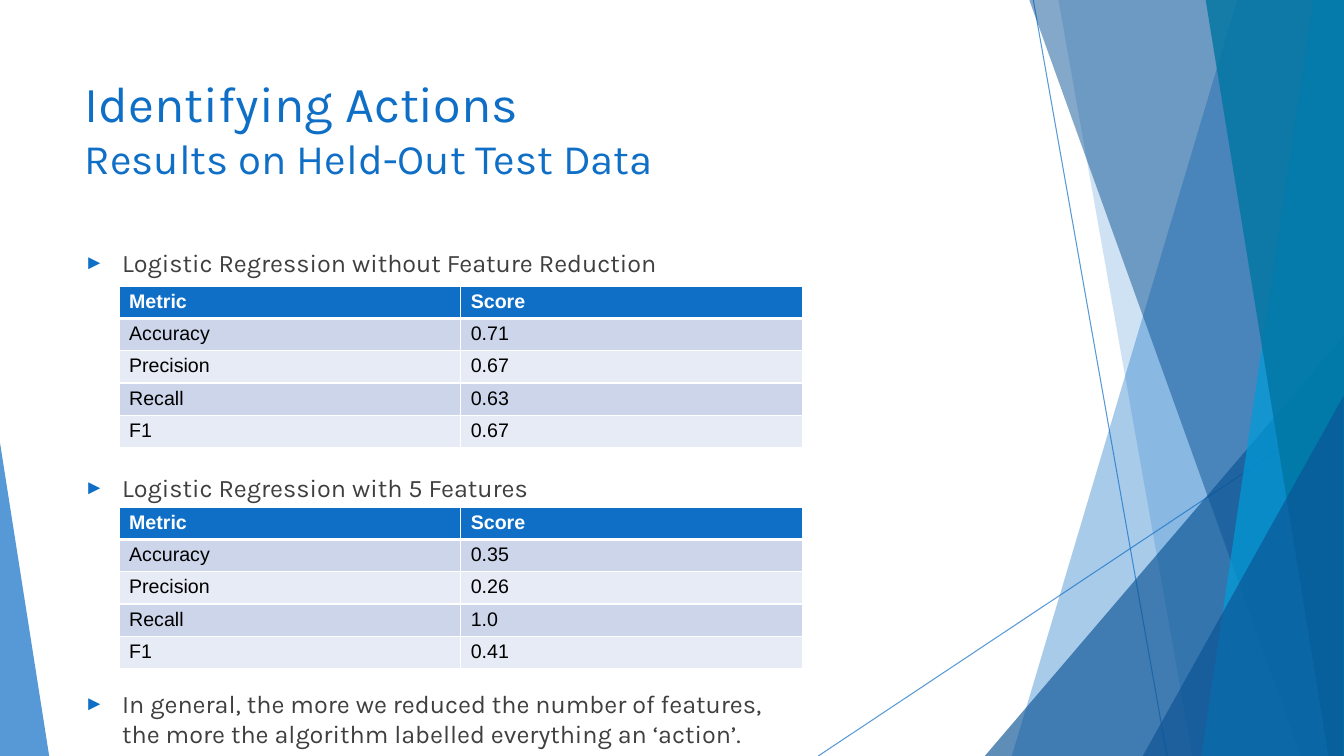
from lxml import etree
from pptx import Presentation
from pptx import util as u
from pptx.dml.color import RGBColor
from pptx.enum import shapes, text
from pptx.oxml.ns import qn

WIDTH, HEIGHT = 33.87, 19.05
BLUE, NAVY, SKY, TEAL = "0F6FC6", "0B5394", "009DD9", "0075A2"
WHITE, BLACK, GREY = "FFFFFF", "000000", "3F3F3F"
BANDS = ["CCD5EA", "E7EBF5"]
METRICS = ["Accuracy", "Precision", "Recall", "F1"]


def color(value):
    return RGBColor.from_string(value)


def add_xml(parent, tag, **attributes):
    return etree.SubElement(parent, qn(tag), attributes)


def set_attributes(target, values):
    for name, value in values.items():
        setattr(target, name, value)


def set_alpha(shape, percent):
    for clr in shape._element.spPr.iter(qn("a:srgbClr")):
        add_xml(clr, "a:alpha", val=str(percent * 1000))


def paint(shape, fill, alpha):
    shape.shadow.inherit = False
    shape.fill.solid()
    shape.fill.fore_color.rgb = color(fill)
    shape.line.fill.background()
    set_alpha(shape, alpha)


def add_line(slide, *ends):
    line = slide.shapes.add_connector(
        shapes.MSO_CONNECTOR.STRAIGHT, *[u.Cm(end) for end in ends])
    line.line.color.rgb = color(BLUE)
    line.line.width = u.Pt(0.75)
    set_alpha(line, 70)
    add_xml(line._element.spPr, "a:effectLst")


def add_panel(slide, top_x, bottom_x, fill, alpha):
    corners = [(top_x, -0.03), (WIDTH, -0.03), (WIDTH, HEIGHT), (bottom_x, HEIGHT)]
    points = [(u.Cm(x), u.Cm(y)) for x, y in corners]
    builder = slide.shapes.build_freeform(*points[0])
    builder.add_line_segments(points[1:], close=True)
    paint(builder.convert_to_shape(), fill, alpha)


def add_triangle(slide, left, width, height, apex, fill, alpha):
    triangle = slide.shapes.add_shape(
        shapes.MSO_SHAPE.ISOSCELES_TRIANGLE, u.Cm(left), u.Cm(HEIGHT - height),
        u.Cm(width), u.Cm(height))
    triangle.adjustments[0] = apex
    paint(triangle, fill, alpha)


def add_text_frame(slide, top, height):
    box = slide.shapes.add_textbox(u.Cm(1.88), u.Cm(top), u.Cm(23.88), u.Cm(height))
    box.text_frame.word_wrap = True
    box.text_frame.vertical_anchor = text.MSO_ANCHOR.TOP
    return box.text_frame


def write(paragraph, content, size, font_color, name="Karla", bold=False):
    paragraph.text = content
    for run in paragraph.runs:
        set_attributes(run.font, {"size": u.Pt(size), "name": name, "bold": bold})
        run.font.color.rgb = color(font_color)


def add_bullet(paragraph):
    properties = paragraph._p.get_or_add_pPr()
    properties.set("marL", str(u.Cm(0.95)))
    properties.set("indent", str(u.Cm(-0.95)))
    add_xml(add_xml(properties, "a:buClr"), "a:srgbClr", val=BLUE)
    add_xml(properties, "a:buSzPct", val="80000")
    add_xml(properties, "a:buFont", typeface="Arial")
    add_xml(properties, "a:buChar", char="►")


def add_title(slide):
    frame = add_text_frame(slide, 1.7, 3.66)
    write(frame.paragraphs[0], "Identifying Actions", 36, BLUE)
    write(frame.add_paragraph(), "Results on Held-Out Test Data", 30, BLUE)


def add_findings(slide):
    frame = add_text_frame(slide, 6.1, 10.69)
    findings = [
        ("Logistic Regression without Feature Reduction", 0),
        ("Logistic Regression with 5 Features", 139.5),
        ("In general, the more we reduced the number of features, \v"
         "the more the algorithm labelled everything an ‘action’.", 132.5),
    ]
    for index, (content, gap) in enumerate(findings):
        paragraph = frame.add_paragraph() if index else frame.paragraphs[0]
        write(paragraph, content, 18, GREY)
        paragraph.space_before = u.Pt(gap)
        add_bullet(paragraph)


def add_borders(cell, bottom):
    properties = cell._tc.get_or_add_tcPr()
    for index, (side, points) in enumerate(zip("LRTB", [1, 1, 1, bottom])):
        border = add_xml(properties, f"a:ln{side}", w=str(u.Pt(points)))
        add_xml(add_xml(border, "a:solidFill"), "a:srgbClr", val=WHITE)
        properties.insert(index, border)


def add_scores(slide, top, scores):
    rows = [("Metric", "Score"), *zip(METRICS, scores)]
    table = slide.shapes.add_table(
        len(rows), 2, u.Cm(3), u.Cm(top), u.Cm(17.22), u.Cm(0.8 * len(rows))).table
    set_attributes(table, {"first_row": False, "horz_banding": False})
    for row, values in enumerate(rows):
        header = row == 0
        for column, value in enumerate(values):
            cell = table.cell(row, column)
            set_attributes(cell, {"margin_top": u.Cm(0.11), "margin_bottom": u.Cm(0.11)})
            write(cell.text_frame.paragraphs[0], value, 14,
                  WHITE if header else BLACK, "Arial", header)
            cell.fill.solid()
            cell.fill.fore_color.rgb = color(BLUE if header else BANDS[(row - 1) % 2])
            add_borders(cell, 3 if header else 1)


def add_facets(slide):
    add_line(slide, 26.04, 0, 29.41, HEIGHT)
    add_line(slide, WIDTH, 10.24, 20.62, HEIGHT)
    add_panel(slide, 31.19, 25.5, BLUE, 36)
    add_panel(slide, 26.67, 30.05, BLUE, 20)
    add_triangle(slide, 24.82, 9.05, 10.59, 1, NAVY, 66)
    add_panel(slide, 25.93, 32.79, NAVY, 50)
    add_panel(slide, 33.1, 30.28, SKY, 70)
    add_panel(slide, 30.38, 33.48, TEAL, 80)
    add_triangle(slide, 28.8, 5.06, 9.07, 1, NAVY, 66)
    add_triangle(slide, 0, 1.24, 7.9, 0, BLUE, 70)


def main():
    presentation = Presentation()
    set_attributes(presentation, {"slide_width": u.Cm(WIDTH), "slide_height": u.Cm(HEIGHT)})
    slide = presentation.slides.add_slide(presentation.slide_layouts[6])
    add_facets(slide)
    add_title(slide)
    add_findings(slide)
    add_scores(slide, 7.21, ["0.71", "0.67", "0.63", "0.67"])
    add_scores(slide, 12.78, ["0.35", "0.26", "1.0", "0.41"])
    presentation.save("out.pptx")


if __name__ == "__main__":
    main()
